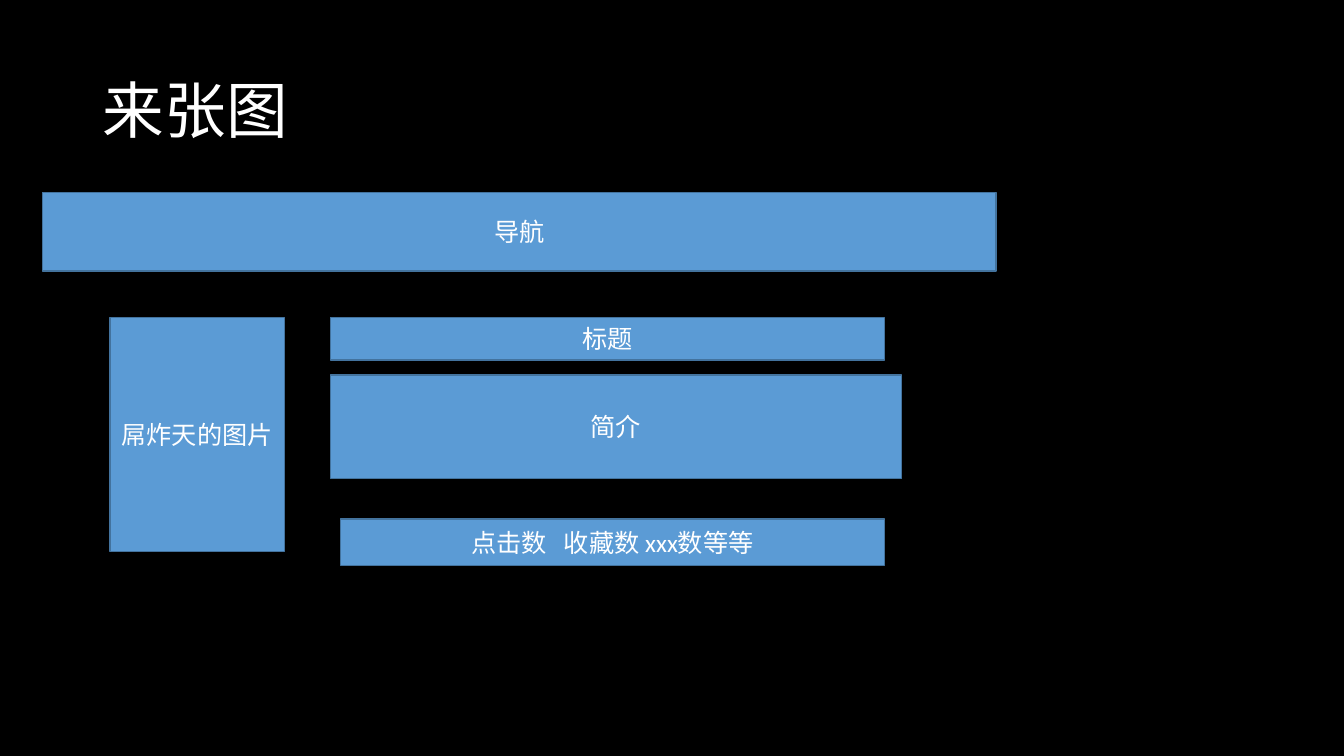
import pptx
import pptx.util
import pptx.dml.color
import pptx.enum.shapes
import pptx.enum.text
from dataclasses import dataclass

Inches = pptx.util.Inches
Pt = pptx.util.Pt
RGBColor = pptx.dml.color.RGBColor
Align = pptx.enum.text.PP_ALIGN


@dataclass(frozen=True)
class Theme:
    font: str = "Calibri"
    background: RGBColor = RGBColor(0x00, 0x00, 0x00)
    text: RGBColor = RGBColor(0xFF, 0xFF, 0xFF)
    block: RGBColor = RGBColor(0x5B, 0x9B, 0xD5)
    outline: RGBColor = RGBColor(0x43, 0x73, 0x9E)
    title_size: int = 44
    label_size: int = 18


theme = Theme()


def write_text(shape, text, size, alignment, line_spacing):
    frame = shape.text_frame
    frame.text = text
    frame.word_wrap = True
    frame.auto_size = pptx.enum.text.MSO_AUTO_SIZE.NONE
    frame.vertical_anchor = pptx.enum.text.MSO_ANCHOR.MIDDLE
    paragraph = frame.paragraphs[0]
    paragraph.alignment = alignment
    paragraph.line_spacing = line_spacing
    font = paragraph.runs[0].font
    for name, value in {"name": theme.font, "size": Pt(size), "bold": False}.items():
        setattr(font, name, value)
    font.color.rgb = theme.text


# Slide and background
presentation = pptx.Presentation()
presentation.slide_width = Inches(13.33)
presentation.slide_height = Inches(7.5)
slide = presentation.slides.add_slide(presentation.slide_layouts.get_by_name("Title Only"))
slide.background.fill.solid()
slide.background.fill.fore_color.rgb = theme.background

# Title
title = slide.shapes.title
title_box = {"left": 0.92, "top": 0.4, "width": 11.5, "height": 1.45}
for name, value in title_box.items():
    setattr(title, name, Inches(value))
write_text(title, "来张图", theme.title_size, Align.LEFT, 0.9)

# Page layout blocks: label, left, top, width, height
content_top = 3.15
text_left = 3.28
blocks = [
    ("导航", 0.42, 1.91, 9.46, 0.78),
    ("屌炸天的图片", 1.09, content_top, 1.73, 2.32),
    ("标题", text_left, content_top, 5.49, 0.42),
    ("简介", text_left, 3.72, 5.66, 1.03),
    ("点击数   收藏数 xxx数等等", 3.38, 5.15, 5.39, 0.46),
]
for label, *box in blocks:
    block = slide.shapes.add_shape(
        pptx.enum.shapes.MSO_SHAPE.RECTANGLE, *map(Inches, box)
    )
    block.shadow.inherit = False
    block.fill.solid()
    block.fill.fore_color.rgb = theme.block
    block.line.color.rgb = theme.outline
    block.line.width = Pt(1)
    write_text(block, label, theme.label_size, Align.CENTER, 1.0)

presentation.save("out.pptx")
